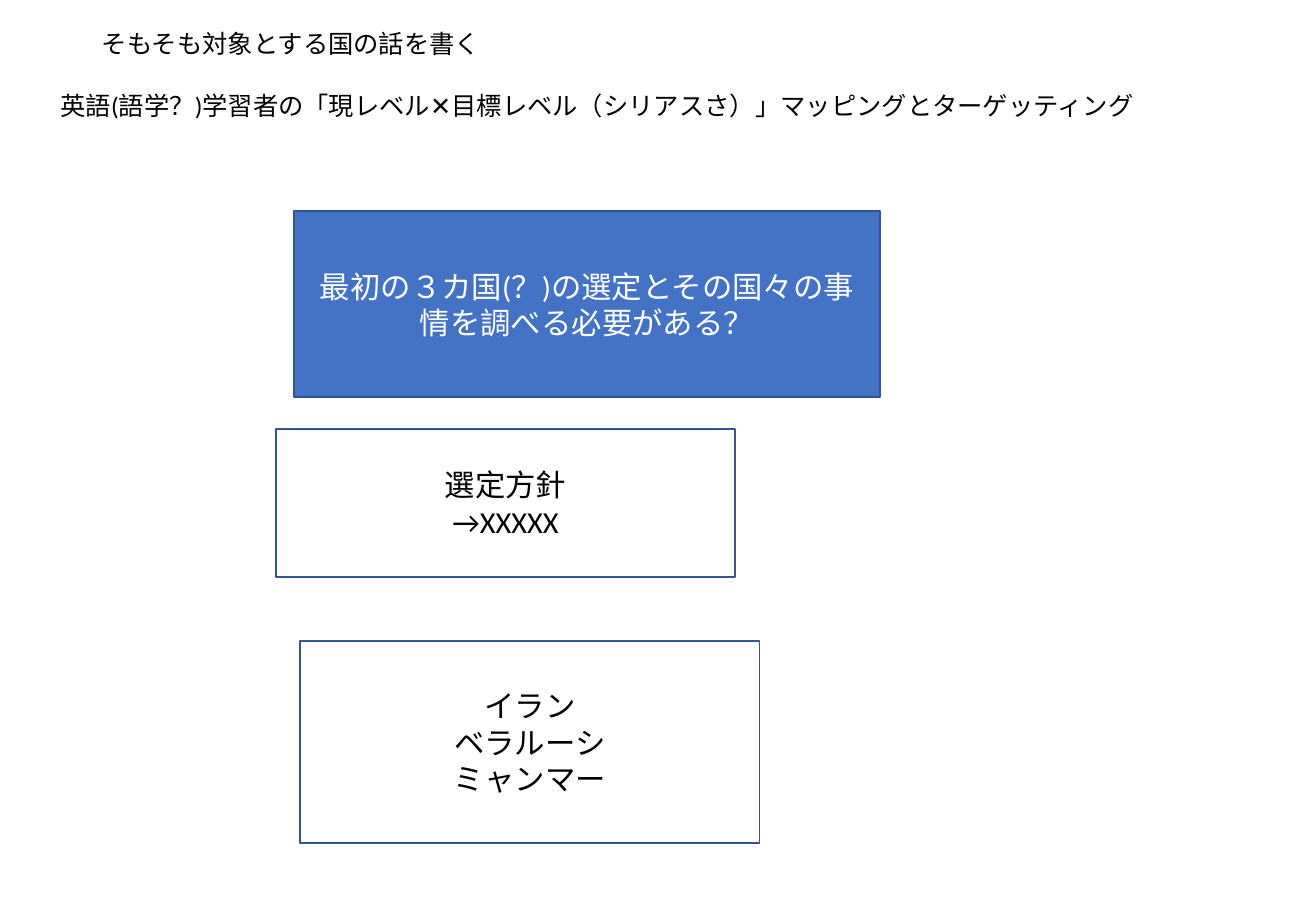
from dataclasses import dataclass

from pptx import Presentation, util as u
from pptx.dml import color
from pptx.enum import shapes, text

EMU_PER_PX = 9144  # 100 px to the inch
FONT = "Calibri"


@dataclass(frozen=True)
class Box:
    left: int
    top: int
    width: int
    height: int
    lines: tuple[str, ...]
    fill: str = "FFFFFF"
    ink: str = "000000"


HEADINGS = (
    Box(74, 4, 934, 66, ("そもそも対象とする国の話を書く",)),
    Box(40, 57, 934, 63,
        ("英語(語学？)学習者の「現レベル✕目標レベル（シリアスさ）」マッピングとターゲッティング",)),
)
PANELS = (
    Box(242, 174, 482, 153, ("最初の３カ国(？)の選定とその国々の事情を調べる必要がある？",),
        "4472C4", "FFFFFF"),
    Box(227, 353, 378, 122, ("選定方針", "→XXXXX")),
    Box(247, 528, 378, 166, ("イラン", "ベラルーシ", "ミャンマー")),
)


def px(length: int) -> u.Emu:
    return u.Emu(length * EMU_PER_PX)


def rgb(code: str) -> color.RGBColor:
    return color.RGBColor.from_string(code)


def frame(box: Box) -> tuple[u.Emu, ...]:
    return tuple(px(side) for side in (box.left, box.top, box.width, box.height))


def write(shape, box: Box, size: int, align: text.PP_ALIGN, spacing: float) -> None:
    text_frame = shape.text_frame
    text_frame.word_wrap = True
    text_frame.vertical_anchor = text.MSO_ANCHOR.MIDDLE
    text_frame.text = "\n".join(box.lines)
    for paragraph in text_frame.paragraphs:
        paragraph.alignment = align
        paragraph.line_spacing = spacing
        paragraph.font.name = FONT
        paragraph.font.size = u.Pt(size)
        paragraph.font.color.rgb = rgb(box.ink)


def add_heading(slide, box: Box) -> None:
    shape = slide.shapes.add_textbox(*frame(box))
    write(shape, box, 15, text.PP_ALIGN.LEFT, 0.9)


def add_panel(slide, box: Box) -> None:
    shape = slide.shapes.add_shape(shapes.MSO_SHAPE.RECTANGLE, *frame(box))
    shape.shadow.inherit = False
    shape.fill.solid()
    shape.fill.fore_color.rgb = rgb(box.fill)
    shape.line.color.rgb = rgb("325491")
    shape.line.width = u.Pt(1)
    write(shape, box, 18, text.PP_ALIGN.CENTER, 1.0)


def main() -> None:
    presentation = Presentation()
    presentation.slide_width, presentation.slide_height = px(1083), px(750)
    slide = presentation.slides.add_slide(presentation.slide_layouts[6])

    # Headings
    for heading in HEADINGS:
        add_heading(slide, heading)

    # Country selection panels
    for panel in PANELS:
        add_panel(slide, panel)

    presentation.save("out.pptx")


if __name__ == "__main__":
    main()
